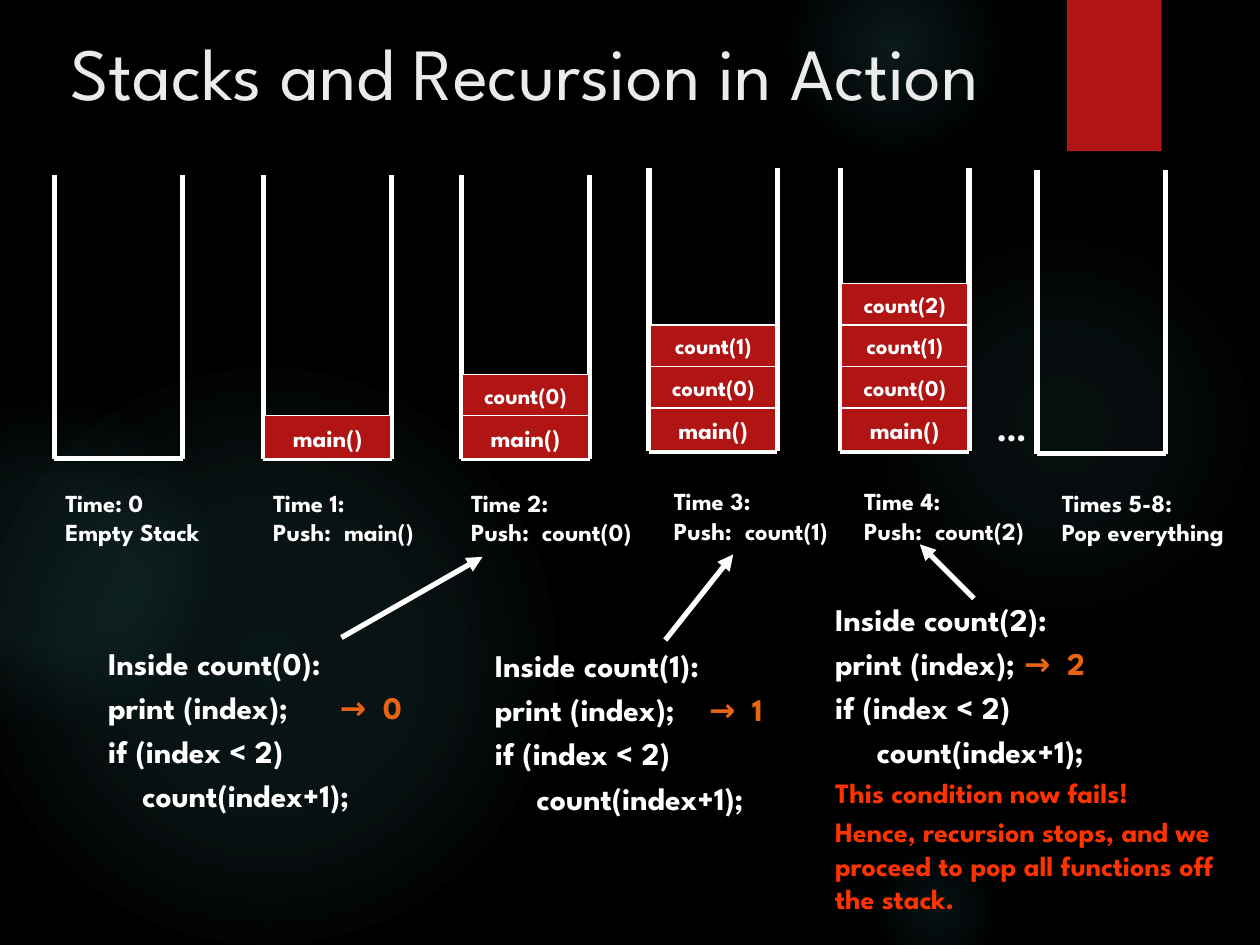
from lxml import etree
from pptx import Presentation
from pptx import util as u
from pptx.dml.color import RGBColor
from pptx.enum import shapes, text
from pptx.oxml.ns import qn

FONT = "League Spartan"
BLACK = RGBColor(0x00, 0x00, 0x00)
WHITE = RGBColor(0xFF, 0xFF, 0xFF)
TITLE_GREY = RGBColor(0xEB, 0xEB, 0xEB)
RED = RGBColor(0xB0, 0x15, 0x13)
ORANGE = RGBColor(0xEA, 0x63, 0x12)
ALERT = RGBColor(0xFF, 0x33, 0x00)
GLOW = RGBColor(0x50, 0xB9, 0xC1)

# left, top, diameter, then (position, opacity) stops in percent
GLOWS = [
    (6.89, 1.83, 3.08, [(0, 7), (36, 6), (69, 0)]),
    (6.22, -0.5, 1.75, [(0, 14), (36, 7), (73, 0)]),
    (6.89, 6.67, 1.08, [(0, 9), (36, 5), (66, 0)]),
    (-0.17, 2.92, 4.58, [(0, 11), (36, 10), (75, 0)]),
    (-0.92, 3.17, 2.58, [(0, 8), (36, 8), (72, 0)]),
]

# stack left and top, caption left and top, caption width, caption lines, calls
STACKS = [
    (0.43, 1.39, 0.42, 3.82, 1.36, ["Time: 0", "Empty Stack"], []),
    (2.09, 1.39, 2.07, 3.82, 1.43, ["Time 1:", "Push:  main()"], ["main()"]),
    (3.66, 1.39, 3.64, 3.82, 1.61, ["Time 2:", "Push:  count(0)"],
     ["main()", "count(0)"]),
    (5.15, 1.33, 5.25, 3.81, 1.61, ["Time 3:", "Push:  count(1)"],
     ["main()", "count(0)", "count(1)"]),
    (6.67, 1.33, 6.76, 3.81, 1.61, ["Time 4:", "Push:  count(2)"],
     ["main()", "count(0)", "count(1)", "count(2)"]),
    (8.23, 1.35, 8.33, 3.82, 1.6, ["Times 5-8:", "Pop everything"], []),
]
STACK_WIDTH, STACK_HEIGHT = 1.02, 2.25
MAIN_HEIGHT, COUNT_HEIGHT = 0.34, 0.33

# box, output tab, indent of the recursive call, closing remarks, arrow
CODE_NOTES = [
    ((0.76, 5.06, 3.04, 1.8), 1.84, 0.27, [], (2.71, 5.06, 3.83, 4.42)),
    ((3.83, 5.08, 2.96, 1.8), 1.7, 0.33, [], (5.28, 5.08, 5.82, 4.4)),
    ((6.53, 4.71, 3.53, 2.68), 1.5, 0.33,
     ["This condition now fails!",
      "Hence, recursion stops, and we proceed to pop all functions off "
      "the stack."], (7.73, 4.75, 7.3, 4.32)),
]


def inches(*lengths):
    return [u.Inches(length) for length in lengths]


def add_run(paragraph, words, size, color, bold=True):
    run = paragraph.add_run()
    run.text = words
    for name, value in {"name": FONT, "size": u.Pt(size), "bold": bold}.items():
        setattr(run.font, name, value)
    run.font.color.rgb = color


def add_lines(slide, box, lines, size, color=WHITE, bold=True,
              anchor=text.MSO_ANCHOR.TOP):
    frame = slide.shapes.add_textbox(*inches(*box)).text_frame
    for name, value in {"word_wrap": True, "vertical_anchor": anchor}.items():
        setattr(frame, name, value)
    for number, line in enumerate(lines):
        paragraph = frame.add_paragraph() if number else frame.paragraphs[0]
        add_run(paragraph, line, size, color, bold)
    return frame


def add_line(slide, start, end, arrow=False):
    line = slide.shapes.add_connector(
        shapes.MSO_CONNECTOR.STRAIGHT, *inches(*start, *end))
    line.line.color.rgb = WHITE
    line.line.width = u.Pt(3)
    properties = line._element.spPr
    if arrow:
        etree.SubElement(properties.find(qn("a:ln")), qn("a:tailEnd"),
                         type="triangle")
    etree.SubElement(properties, qn("a:effectLst"))


def add_panel(slide, kind, box):
    panel = slide.shapes.add_shape(kind, *inches(*box))
    panel.shadow.inherit = False
    panel.fill.solid()
    panel.fill.fore_color.rgb = RED
    panel.line.fill.background()
    return panel


def add_glow(slide, left, top, diameter, stops):
    glow = add_panel(slide, shapes.MSO_SHAPE.OVAL,
                     (left, top, diameter, diameter))
    solid = glow._element.spPr.find(qn("a:solidFill"))
    gradient = etree.Element(qn("a:gradFill"), rotWithShape="1")
    stop_list = etree.SubElement(gradient, qn("a:gsLst"))
    for position, opacity in stops:
        stop = etree.SubElement(stop_list, qn("a:gs"), pos=str(position * 1000))
        color = etree.SubElement(stop, qn("a:srgbClr"), val=str(GLOW))
        etree.SubElement(color, qn("a:alpha"), val=str(opacity * 1000))
    circle = etree.SubElement(gradient, qn("a:path"), path="circle")
    etree.SubElement(circle, qn("a:fillToRect"),
                     {side: "50000" for side in "ltrb"})
    solid.getparent().replace(solid, gradient)


def add_stack(slide, left, top, calls):
    right, bottom = left + STACK_WIDTH, top + STACK_HEIGHT
    # Open container: left wall, floor, right wall
    corners = [(left, top), (left, bottom), (right, bottom), (right, top)]
    for start, end in zip(corners, corners[1:]):
        add_line(slide, start, end)
    # Calls, pushed from the floor upwards
    level = bottom
    for call in calls:
        is_main = call == "main()"
        height = MAIN_HEIGHT if is_main else COUNT_HEIGHT
        level -= height
        block = add_panel(slide, shapes.MSO_SHAPE.RECTANGLE,
                          (left + 0.01, level, 1, height))
        block.line.color.rgb = WHITE
        block.line.width = u.Pt(0.75)
        block.text_frame.vertical_anchor = text.MSO_ANCHOR.MIDDLE
        paragraph = block.text_frame.paragraphs[0]
        paragraph.alignment = text.PP_ALIGN.CENTER
        add_run(paragraph, call, 14 if is_main else 13, WHITE)


def add_code_note(slide, box, index, output_tab, indent, remarks):
    code = [f"Inside count({index}):", "print (index);", "if (index < 2)",
            "count(index+1);"]
    frame = add_lines(slide, box, code, 18)
    _, print_line, _, call_line = frame.paragraphs
    # Printed value on a tab stop, recursive call indented
    add_run(print_line, f"\t→  {index}", 18, ORANGE)
    tabs = etree.SubElement(print_line._p.get_or_add_pPr(), qn("a:tabLst"))
    etree.SubElement(tabs, qn("a:tab"), pos=str(u.Inches(output_tab)), algn="l")
    call_line._p.get_or_add_pPr().set("marL", str(u.Inches(indent)))
    for remark in remarks:
        add_run(frame.add_paragraph(), remark, 16, ALERT)
    for paragraph in frame.paragraphs:
        paragraph.space_before = u.Pt(0.2 * paragraph.runs[0].font.size.pt)


def main():
    deck = Presentation()
    deck.slide_width, deck.slide_height = inches(10, 7.5)
    slide = deck.slides.add_slide(deck.slide_layouts[6])

    # Backdrop
    slide.background.fill.solid()
    slide.background.fill.fore_color.rgb = BLACK
    for glow in GLOWS:
        add_glow(slide, *glow)
    add_panel(slide, shapes.MSO_SHAPE.RECTANGLE, (8.47, 0, 0.75, 1.2))

    # Title
    add_lines(slide, (0.46, 0.1, 9.08, 0.93), ["Stacks and Recursion in Action"],
              42, TITLE_GREY, False, text.MSO_ANCHOR.MIDDLE)

    # Stack at each time step
    for left, top, label_left, label_top, width, label, calls in STACKS:
        add_stack(slide, left, top, calls)
        add_lines(slide, (label_left, label_top, width, 0.68), label, 14)
    add_lines(slide, (7.82, 3.18, 0.48, 0.43), ["…"], 20)

    # Code inside each call
    for index, (box, tab, indent, remarks, arrow) in enumerate(CODE_NOTES):
        add_code_note(slide, box, index, tab, indent, remarks)
        add_line(slide, arrow[:2], arrow[2:], arrow=True)

    deck.save("out.pptx")


if __name__ == "__main__":
    main()
